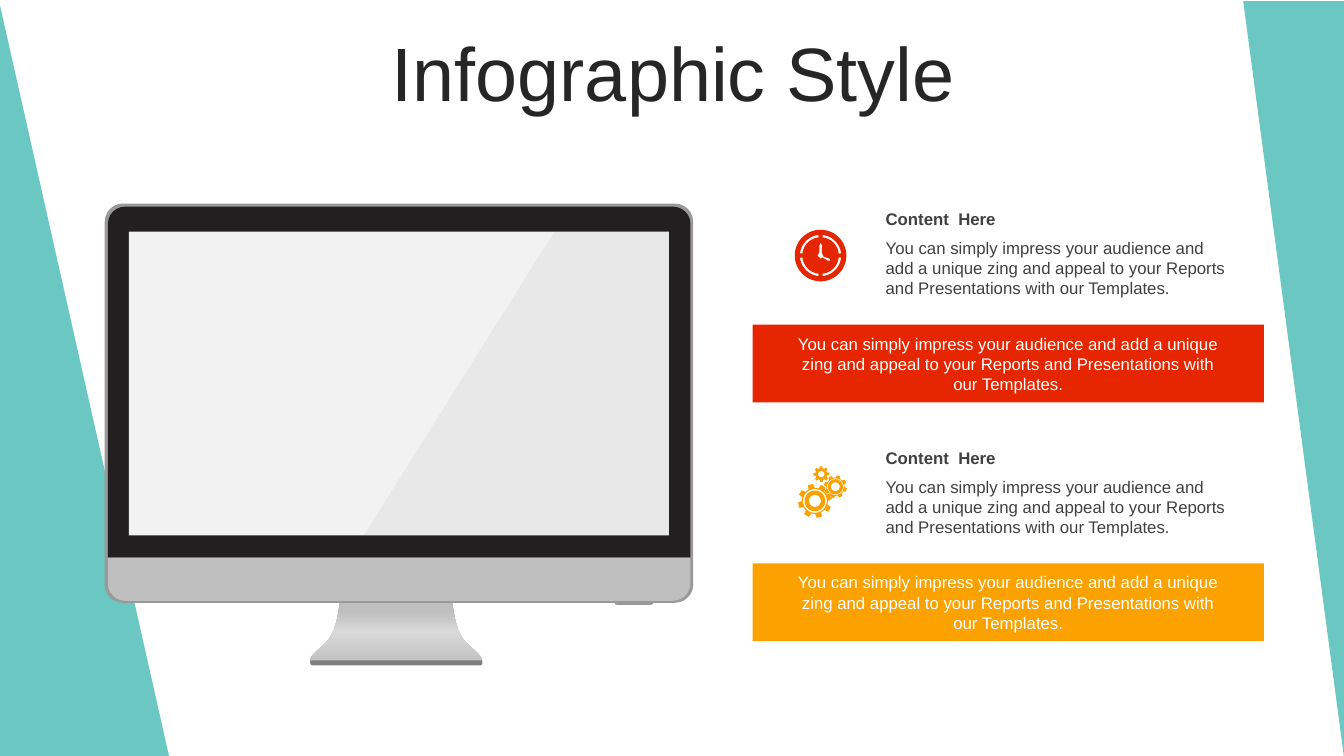
from math import cos, radians, sin

from lxml.etree import SubElement
from pptx import Presentation
from pptx.dml.color import RGBColor
from pptx.enum.shapes import MSO_SHAPE
from pptx.enum.text import MSO_ANCHOR, PP_ALIGN
from pptx.oxml.ns import qn
from pptx.util import Cm, Pt

TEAL = RGBColor(0x07, 0xA3, 0x98)
RED = RGBColor(0xE6, 0x26, 0x01)
AMBER = RGBColor(0xFB, 0xA2, 0x00)
WHITE = RGBColor(0xFF, 0xFF, 0xFF)
TITLE_GREY = RGBColor(0x26, 0x26, 0x26)
TEXT_GREY = RGBColor(0x40, 0x40, 0x40)
CASE_GREY = RGBColor(0x99, 0x99, 0x99)
BASE_GREY = RGBColor(0x80, 0x80, 0x80)
CHIN_GREY = RGBColor(0xBF, 0xBF, 0xBF)
SHINE_GREY = RGBColor(0xD9, 0xD9, 0xD9)
BEZEL_BLACK = RGBColor(0x23, 0x1F, 0x20)
SCREEN_GREY = RGBColor(0xF2, 0xF2, 0xF2)

TITLE = "Infographic Style"
MESSAGE = (
    "You can simply impress your audience and add a unique zing and appeal "
    "to your Reports and Presentations with our Templates."
)
ROWS = [
    {"heading": "Content  Here", "body": MESSAGE, "band": MESSAGE, "color": RED},
    {"heading": "Content  Here", "body": MESSAGE, "band": MESSAGE, "color": AMBER},
]
ROW_PITCH = 6.02

CASE = (2.64, 5.13, 14.83, 10.06)
BUTTON = (15.49, 15.14, 0.97, 0.1)
BEZEL = (2.72, 5.21, 14.68, 8.84)
BASE = (7.82, 16.64, 4.34, 0.13)
CHIN = (2.72, 14.05, 14.68, 1.09)
SCREEN = (3.25, 5.84, 13.61, 7.65)
GLARE = [(13.97, 5.84), (16.86, 5.84), (16.86, 13.49), (9.17, 13.49)]
STAND_CENTER = 9.98
STAND_CURVES = [
    [(1.42, 15.16), (1.42, 15.16), (1.45, 15.85), (1.75, 16.18)],
    [(1.75, 16.18), (2.06, 16.48), (2.54, 16.76), (1.7, 16.76)],
]
STAND_STOPS = [(0, CHIN_GREY), (53, SHINE_GREY), (83, CHIN_GREY), (100, CHIN_GREY)]

CLOCK_CENTER = (20.68, 6.44)
CLOCK_HANDS = [
    (0, -0.33), (-0.03, -0.25), (-0.03, -0.08), (-0.08, 0), (0, 0.08), (0.05, 0.05),
    (0.18, 0.13), (0.25, 0.13), (0.23, 0.08), (0.08, 0.03), (0.03, -0.08), (0.04, -0.25),
]
GEARS_CENTER = (20.68, 12.37)
GEARS = [
    {"center": (-0.2, 0.2), "tip": 0.43, "root": 0.33, "turn": 0, "rings": (0.3, 0.26, 0.15)},
    {"center": (0.39, -0.01), "tip": 0.29, "root": 0.23, "turn": -14, "rings": (0.21, 0.19, 0.11)},
    {"center": (0.13, -0.41), "tip": 0.2, "root": 0.15, "turn": 13, "rings": (0.08,)},
]


def paint(shape, color, opacity=100):
    """Give a shape a plain fill with no outline and no shadow."""
    shape.shadow.inherit = False
    shape.line.fill.background()
    shape.fill.solid()
    shape.fill.fore_color.rgb = color
    if opacity < 100:
        color_element = shape._element.spPr.find(qn("a:solidFill"))[0]
        SubElement(color_element, qn("a:alpha"), val=str(opacity * 1000))
    return shape


def add_preset(slide, preset, box, color, opacity=100, corners=()):
    """Add a preset shape whose corner radii are given in centimetres."""
    shape = slide.shapes.add_shape(preset, *map(Cm, box))
    for index, radius in enumerate(corners):
        shape.adjustments[index] = radius / min(box[2:])
    return paint(shape, color, opacity)


def add_outline(slide, contours, color, opacity=100, center=(0, 0)):
    """Add one freeform from closed contours placed around a centre."""
    placed = [[(Cm(center[0] + x), Cm(center[1] + y)) for x, y in contour] for contour in contours]
    builder = slide.shapes.build_freeform(*placed[0][0])
    builder.add_line_segments(placed[0][1:], close=True)
    for contour in placed[1:]:
        builder.move_to(*contour[0])
        builder.add_line_segments(contour[1:], close=True)
    return paint(builder.convert_to_shape(), color, opacity)


def write_text(shape, text, size=12, color=TEXT_GREY, bold=False, align=PP_ALIGN.LEFT,
               anchor=MSO_ANCHOR.TOP, line_spacing=None):
    """Write one formatted paragraph into a shape."""
    frame = shape.text_frame
    frame.word_wrap = True
    frame.vertical_anchor = anchor
    paragraph = frame.paragraphs[0]
    paragraph.alignment = align
    paragraph.line_spacing = line_spacing
    run = paragraph.add_run()
    run.text = text
    run.font.name = "Arial"
    run.font.size = Pt(size)
    run.font.bold = bold
    run.font.color.rgb = color


def polar(radius, degrees, center=(0, 0)):
    """Return the point at a clockwise angle from the top."""
    angle = radians(degrees)
    return center[0] + radius * sin(angle), center[1] - radius * cos(angle)


def circle(radius, center=(0, 0)):
    """Return a circle as a closed contour."""
    return [polar(radius, degrees, center) for degrees in range(0, 360, 6)]


def bezier(start, first, second, end, steps=12):
    """Return points along a cubic curve."""
    points = []
    for step in range(steps + 1):
        t = step / steps
        weights = ((1 - t) ** 3, 3 * t * (1 - t) ** 2, 3 * t * t * (1 - t), t ** 3)
        points.append(tuple(
            sum(weight * value for weight, value in zip(weights, values))
            for values in zip(start, first, second, end)
        ))
    return points


def clock_contours():
    """Return the disc, the four dial gaps and the hands."""
    gaps = []
    for quarter in range(0, 360, 90):
        sweep = range(quarter + 6, quarter + 85, 6)
        gaps.append([polar(0.52, a) for a in sweep] + [polar(0.46, a) for a in reversed(sweep)])
    return [circle(0.65), *gaps, CLOCK_HANDS]


def gear_contours(gear):
    """Return the toothed outline and the rings of one gear."""
    corners = ((gear["root"], -14), (gear["tip"], -9), (gear["tip"], 9), (gear["root"], 14))
    outline = [
        polar(radius, tooth + gear["turn"] + offset, gear["center"])
        for tooth in range(0, 360, 45)
        for radius, offset in corners
    ]
    return [outline] + [circle(radius, gear["center"]) for radius in gear["rings"]]


def add_stand(slide):
    """Add the mirrored monitor stand with its metal gradient."""
    profile = [point for curve in STAND_CURVES for point in bezier(*curve)]
    mirrored = [(-x, y) for x, y in reversed(profile)]
    stand = add_outline(slide, [profile + mirrored], CHIN_GREY, center=(STAND_CENTER, 0))
    stand.fill.gradient()
    stand.fill.gradient_angle = 90
    stops = stand._element.spPr.find(qn("a:gradFill")).find(qn("a:gsLst"))
    for stop in list(stops):
        stops.remove(stop)
    for position, color in STAND_STOPS:
        stop = SubElement(stops, qn("a:gs"), pos=str(position * 1000))
        SubElement(stop, qn("a:srgbClr"), val=str(color))


def add_monitor(slide):
    """Add the monitor from back to front."""
    add_stand(slide)
    rounded = MSO_SHAPE.ROUND_2_SAME_RECTANGLE
    add_preset(slide, MSO_SHAPE.ROUNDED_RECTANGLE, CASE, CASE_GREY, corners=(0.46,))
    add_preset(slide, rounded, BUTTON, CASE_GREY, corners=(0, 0.05))
    add_preset(slide, rounded, BEZEL, BEZEL_BLACK, corners=(0.43, 0))
    add_preset(slide, rounded, BASE, BASE_GREY, corners=(0, 0.06))
    add_preset(slide, rounded, CHIN, CHIN_GREY, corners=(0, 0.44))
    add_preset(slide, MSO_SHAPE.RECTANGLE, SCREEN, SCREEN_GREY)
    add_outline(slide, [GLARE], CASE_GREY, opacity=10)


def add_row(slide, row, offset):
    """Add the heading, the body text and the coloured band of one row."""
    heading = slide.shapes.add_textbox(Cm(22.07), Cm(5.13 + offset), Cm(9.09), Cm(0.76))
    write_text(heading, row["heading"], bold=True, anchor=MSO_ANCHOR.MIDDLE)
    body = slide.shapes.add_textbox(Cm(22.07), Cm(5.87 + offset), Cm(9.09), Cm(1.8))
    write_text(body, row["body"])
    band = add_preset(slide, MSO_SHAPE.RECTANGLE, (18.97, 8.18 + offset, 12.88, 1.96), row["color"])
    band.text_frame.margin_left = band.text_frame.margin_right = Cm(1.07)
    write_text(band, row["band"], color=WHITE, align=PP_ALIGN.CENTER, anchor=MSO_ANCHOR.MIDDLE)


def main():
    """Build the slide and save it."""
    presentation = Presentation()
    presentation.slide_width, presentation.slide_height = Cm(33.87), Cm(19.05)
    slide = presentation.slides.add_slide(presentation.slide_layouts[5])
    right_side = add_preset(slide, MSO_SHAPE.RIGHT_TRIANGLE, (31.33, 0.03, 2.54, 19.05), TEAL, 60)
    right_side.rotation = 180
    add_preset(slide, MSO_SHAPE.RIGHT_TRIANGLE, (-0.03, 0, 4.29, 19.05), TEAL, 60)
    add_monitor(slide)
    title = slide.shapes.title
    title.left, title.top, title.width, title.height = Cm(0.89), Cm(0.94), Cm(32.16), Cm(2.01)
    write_text(title, TITLE, size=54, color=TITLE_GREY, align=PP_ALIGN.CENTER,
               anchor=MSO_ANCHOR.MIDDLE, line_spacing=0.9)
    for index, row in enumerate(ROWS):
        add_row(slide, row, index * ROW_PITCH)
    add_outline(slide, clock_contours(), RED, center=CLOCK_CENTER)
    gears = [contour for gear in GEARS for contour in gear_contours(gear)]
    add_outline(slide, gears, AMBER, center=GEARS_CENTER).rotation = 345
    presentation.save("out.pptx")


if __name__ == "__main__":
    main()
